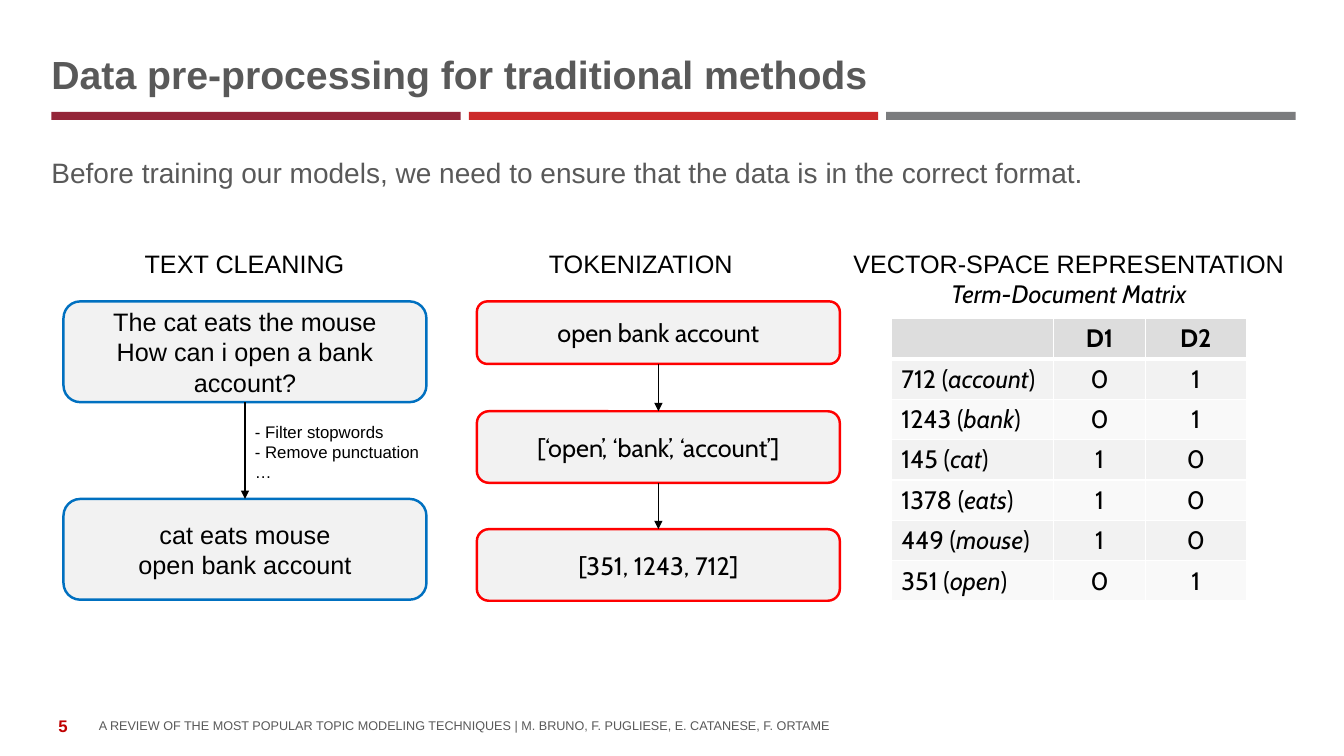
from dataclasses import dataclass

from lxml import etree
from pptx import Presentation
from pptx.dml.color import RGBColor
from pptx.enum.shapes import MSO_CONNECTOR, MSO_SHAPE
from pptx.enum.text import MSO_ANCHOR as ANCHOR, PP_ALIGN as ALIGN
from pptx.oxml.ns import qn
from pptx.util import Inches, Pt

COLORS = {
    "crimson": "942639", "red": "CC2A2A", "gray": "7B7C7E",
    "heading": "595959", "number": "C00000", "black": "000000",
    "box": "F2F2F2", "cleaning": "0070C0", "tokens": "FF0000",
    "header": "DDDDDD", "odd": "F2F2F2", "even": "F9F9F9", "border": "FFFFFF",
}
BOX_WIDTH = 3.6
ROW_HEIGHT = 0.4
COLUMN_WIDTHS = (1.61, 0.91, 1.0)


@dataclass
class Style:
    size: float = 18
    font: str = "Arial"
    color: str = "black"
    bold: bool = False
    italic: bool = False


@dataclass
class Label:
    at: tuple[float, float, float, float]
    text: str
    style: Style
    align: ALIGN = ALIGN.LEFT
    anchor: ANCHOR = ANCHOR.TOP
    inset: bool = True
    wrap: bool = True


@dataclass
class Step:
    left: float
    top: float
    height: float
    text: str
    line: str
    font: str


@dataclass
class Term:
    code: int
    word: str
    counts: tuple[int, int]


ARIAL = Style()
CABIN = Style(font="Cabin")
CABIN_BOLD = Style(font="Cabin", bold=True)
CABIN_ITALIC = Style(font="Cabin", italic=True)

BARS = [("crimson", 0.51), ("red", 4.65), ("gray", 8.79)]

TITLE = Label((0.51, 0.55, 12.32, 0.42), "Data pre-processing for traditional methods",
              Style(28, color="heading", bold=True), anchor=ANCHOR.BOTTOM, inset=False)
MATRIX_HEADING = Label((8.34, 2.41, 4.52, 0.71),
                       "VECTOR-SPACE REPRESENTATION\nTerm-Document Matrix",
                       ARIAL, ALIGN.CENTER, wrap=False)
LABELS = [
    Label((0.51, 1.54, 12.32, 0.42),
          "Before training our models, we need to ensure that the data is in the correct format.",
          Style(20, color="heading"), inset=False),
    Label((0.35, 7, 0.55, 0.4), "5", Style(12, color="number", bold=True),
          ALIGN.CENTER, ANCHOR.MIDDLE),
    Label((0.98, 6.99, 10.55, 0.28),
          "A REVIEW OF THE MOST POPULAR TOPIC MODELING TECHNIQUES | "
          "M. BRUNO, F. PUGLIESE, E. CATANESE, F. ORTAME",
          Style(9, color="heading"), anchor=ANCHOR.BOTTOM, inset=False),
    Label((1.33, 2.41, 2.19, 0.4), "TEXT CLEANING", ARIAL, ALIGN.CENTER, wrap=False),
    Label((2.43, 4.13, 1.84, 0.71), "- Filter stopwords\n- Remove punctuation\n…",
          Style(12), wrap=False),
    Label((5.31, 2.41, 2.09, 0.4), "TOKENIZATION", ARIAL, ALIGN.CENTER, wrap=False),
]

FLOWS = [
    [
        Step(0.63, 2.99, 1, "The cat eats the mouse\nHow can i open a bank account?",
             "cleaning", "Arial"),
        Step(0.63, 4.95, 1, "cat eats mouse\nopen bank account", "cleaning", "Arial"),
    ],
    [
        Step(4.73, 2.99, 0.62, "open bank account", "tokens", "Cabin"),
        Step(4.73, 4.08, 0.71, "[‘open’, ‘bank’, ‘account’]", "tokens", "Cabin"),
        Step(4.73, 5.25, 0.71, "[351, 1243, 712]", "tokens", "Cabin"),
    ],
]

TERMS = [
    Term(712, "account", (0, 1)),
    Term(1243, "bank", (0, 1)),
    Term(145, "cat", (1, 0)),
    Term(1378, "eats", (1, 0)),
    Term(449, "mouse", (1, 0)),
    Term(351, "open", (0, 1)),
]


def rgb(name: str) -> RGBColor:
    return RGBColor.from_string(COLORS[name])


def style_run(r, style: Style) -> None:
    r.font.size = Pt(style.size)
    r.font.name = style.font
    r.font.color.rgb = rgb(style.color)
    r.font.bold = style.bold
    r.font.italic = style.italic


def write(tf, text: str, style: Style, align: ALIGN) -> None:
    tf.text = text
    for p in tf.paragraphs:
        p.alignment = align
        for r in p.runs:
            style_run(r, style)


def add_label(s, label: Label):
    tf = s.shapes.add_textbox(*map(Inches, label.at)).text_frame
    tf.word_wrap = label.wrap
    tf.vertical_anchor = label.anchor
    if not label.inset:
        tf.margin_left = tf.margin_top = tf.margin_right = tf.margin_bottom = 0
    write(tf, label.text, label.style, label.align)
    return tf


def add_filled(s, kind: MSO_SHAPE, at: tuple, fill: str):
    sp = s.shapes.add_shape(kind, *map(Inches, at))
    sp.shadow.inherit = False
    sp.fill.solid()
    sp.fill.fore_color.rgb = rgb(fill)
    sp.line.fill.background()
    return sp


def add_step(s, step: Step) -> None:
    at = (step.left, step.top, BOX_WIDTH, step.height)
    sp = add_filled(s, MSO_SHAPE.ROUNDED_RECTANGLE, at, "box")
    sp.line.color.rgb = rgb(step.line)
    sp.line.width = Pt(1.75)
    sp.text_frame.vertical_anchor = ANCHOR.MIDDLE
    write(sp.text_frame, step.text, Style(font=step.font), ALIGN.CENTER)


def add_arrow(s, upper: Step, lower: Step) -> None:
    x = Inches(upper.left + BOX_WIDTH / 2)
    arrow = s.shapes.add_connector(MSO_CONNECTOR.STRAIGHT, x, Inches(upper.top + upper.height),
                                   x, Inches(lower.top))
    arrow.line.color.rgb = rgb("black")
    arrow.line.width = Pt(1)
    etree.SubElement(arrow.line._get_or_add_ln(), qn("a:tailEnd"), type="triangle")
    etree.SubElement(arrow._element.spPr, qn("a:effectLst"))


def format_cell(cell, fill: str, bottom: float) -> None:
    """Fill a cell and give it white borders, the lower one `bottom` points wide."""
    tc_pr = cell._tc.get_or_add_tcPr()
    for side, width in (("L", 1), ("R", 1), ("T", 1), ("B", bottom)):
        ln = etree.SubElement(tc_pr, qn(f"a:ln{side}"), w=str(Pt(width)))
        solid = etree.SubElement(ln, qn("a:solidFill"))
        etree.SubElement(solid, qn("a:srgbClr"), val=COLORS["border"])
    cell.fill.solid()
    cell.fill.fore_color.rgb = rgb(fill)


def add_matrix(s, left: float, top: float) -> None:
    rows = len(TERMS) + 1
    table = s.shapes.add_table(rows, len(COLUMN_WIDTHS), Inches(left), Inches(top),
                               Inches(sum(COLUMN_WIDTHS)), Inches(rows * ROW_HEIGHT)).table
    for column, width in zip(table.columns, COLUMN_WIDTHS):
        column.width = Inches(width)
    for i in range(rows):
        fill = "header" if i == 0 else "odd" if i % 2 else "even"
        for j in range(len(COLUMN_WIDTHS)):
            format_cell(table.cell(i, j), fill, 1 if i else 3)
    for j, name in enumerate(("D1", "D2"), 1):
        write(table.cell(0, j).text_frame, name, CABIN_BOLD, ALIGN.CENTER)
    for i, term in enumerate(TERMS, 1):
        p = table.cell(i, 0).text_frame.paragraphs[0]
        for text, style in ((f"{term.code} (", CABIN), (term.word, CABIN_ITALIC), (")", CABIN)):
            r = p.add_run()
            r.text = text
            style_run(r, style)
        for j, count in enumerate(term.counts, 1):
            write(table.cell(i, j).text_frame, str(count), CABIN, ALIGN.CENTER)


def main() -> None:
    prs = Presentation()
    prs.slide_width, prs.slide_height = Inches(13.33), Inches(7.5)
    s = prs.slides.add_slide(prs.slide_layouts[6])
    for color, left in BARS:
        add_filled(s, MSO_SHAPE.RECTANGLE, (left, 1.11, 4.06, 0.08), color)
    add_label(s, TITLE).paragraphs[0].line_spacing = Pt(30)
    for label in LABELS:
        add_label(s, label)
    for flow in FLOWS:
        for step in flow:
            add_step(s, step)
        for upper, lower in zip(flow, flow[1:]):
            add_arrow(s, upper, lower)
    subtitle = add_label(s, MATRIX_HEADING).paragraphs[1]
    style_run(subtitle.runs[0], CABIN_ITALIC)
    add_matrix(s, 8.84, 3.16)
    prs.save("out.pptx")


if __name__ == "__main__":
    main()
